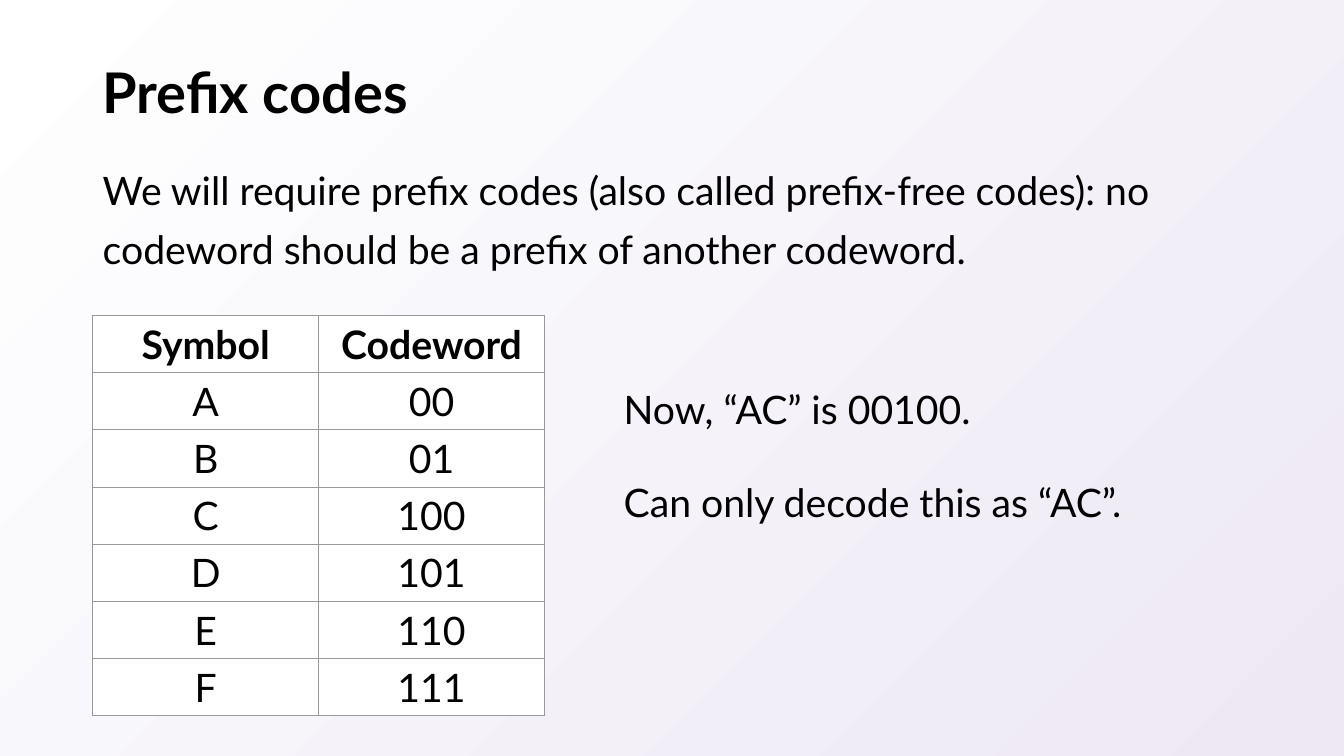
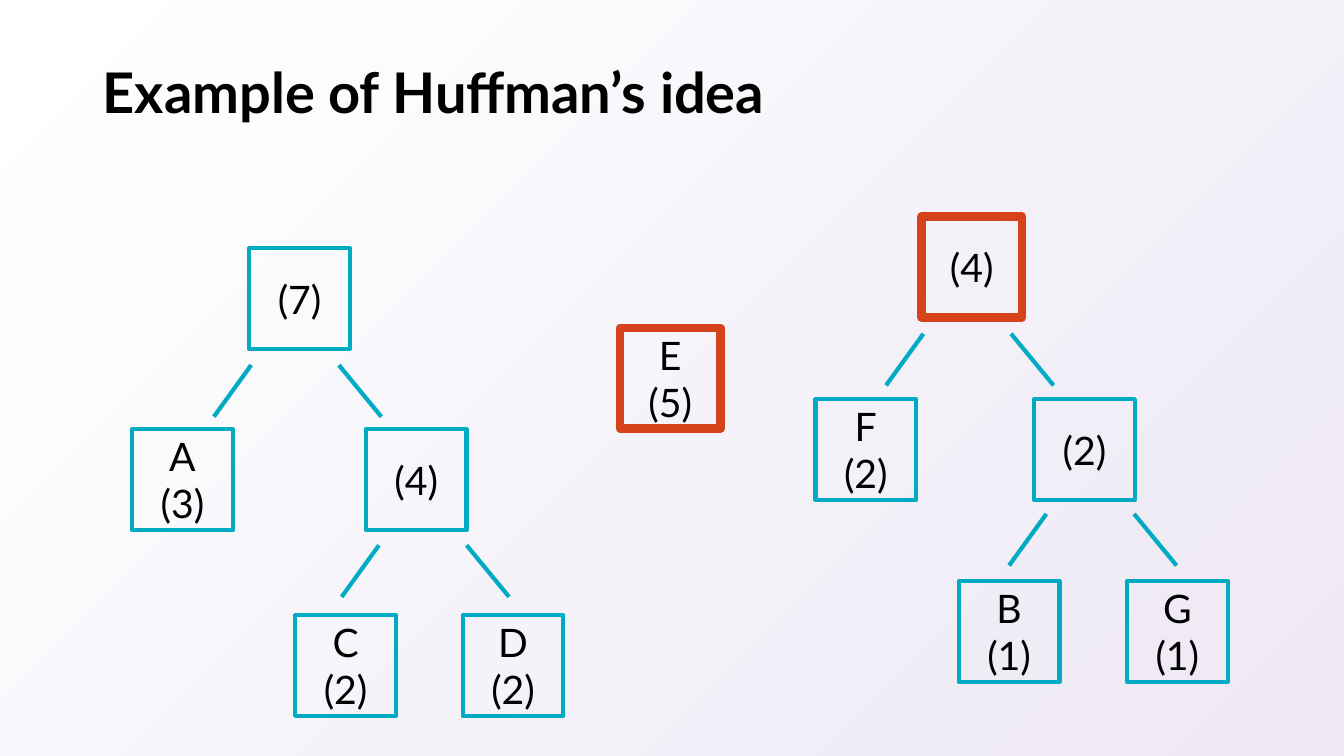
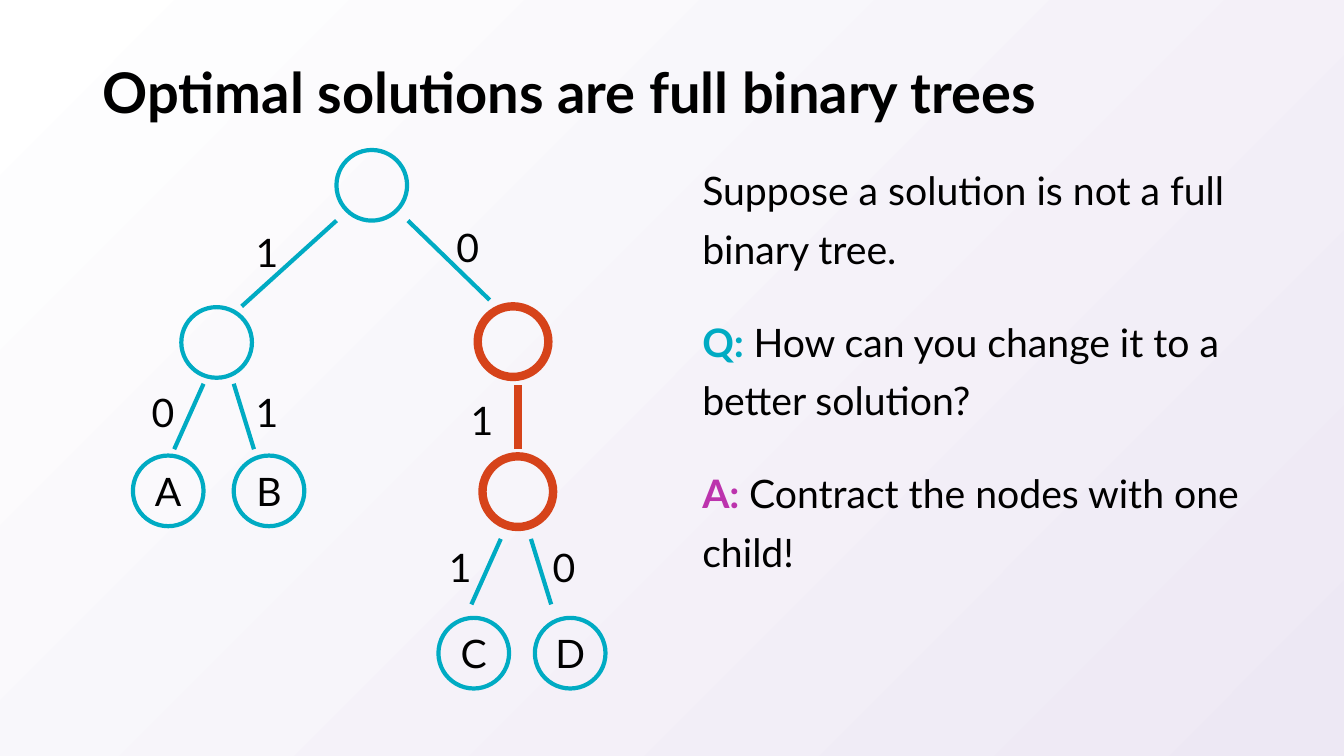
from lxml.etree import SubElement
from pptx import Presentation
from pptx.dml.color import RGBColor
from pptx.enum.shapes import MSO_CONNECTOR, MSO_SHAPE
from pptx.enum.text import MSO_ANCHOR, PP_ALIGN
from pptx.oxml import parse_xml
from pptx.oxml.ns import nsdecls, qn
from pptx.util import Cm, Pt

FONT = "Lato"
BLACK, WHITE, LAVENDER, GRAY = "000000", "FFFFFF", "EDE8F4", "999999"
TEAL, RED, MAGENTA = "00ABC3", "D6431A", "BC33AD"
MARGIN, CONTENT_WIDTH = 2.34, 29.21
BODY_TOP, BODY_HEIGHT = 3.78, 13.36
THIN, THICK = 3, 6
SQUARE, CIRCLE = 2.54, 1.78


def color(value):
    return RGBColor.from_string(value)


def style(paragraph, size=28, bold=False, align=None, line_spacing=None, space_before=None):
    paragraph.font.name = FONT
    paragraph.font.size = Pt(size)
    paragraph.font.bold = bold
    paragraph.font.color.rgb = color(BLACK)
    paragraph.alignment = align
    paragraph.line_spacing = line_spacing
    paragraph.space_before = space_before


def add_text_box(slide, left, top, width, height, wrap=True):
    box = slide.shapes.add_textbox(Cm(left), Cm(top), Cm(width), Cm(height))
    box.text_frame.word_wrap = wrap
    return box.text_frame


def add_body(slide, left, top, width, height, paragraphs, wrap=True):
    frame = add_text_box(slide, left, top, width, height, wrap)
    for index, (lead, lead_color, words) in enumerate(paragraphs):
        paragraph = frame.add_paragraph() if index else frame.paragraphs[0]
        style(paragraph, line_spacing=1.25, space_before=Pt(24))
        if lead:
            run = paragraph.add_run()
            run.text = lead
            run.font.bold = True
            run.font.color.rgb = color(lead_color)
        paragraph.add_run().text = words


def add_titled_slide(prs, title):
    slide = prs.slides.add_slide(prs.slide_layouts[6])
    frame = add_text_box(slide, MARGIN, 1.02, CONTENT_WIDTH, 2.77)
    frame.vertical_anchor = MSO_ANCHOR.MIDDLE
    frame.text = title
    style(frame.paragraphs[0], size=40, bold=True, line_spacing=0.9)
    return slide


def set_background(prs):
    fill = prs.slide_master.background.fill
    fill.gradient()
    fill.gradient_angle = 315
    for stop, shade in zip(fill.gradient_stops, (WHITE, LAVENDER)):
        stop.color.rgb = color(shade)


def set_borders(cell):
    properties = cell._tc.get_or_add_tcPr()
    for index, side in enumerate(("lnL", "lnR", "lnT", "lnB")):
        border = parse_xml(
            f'<a:{side} {nsdecls("a")} w="{Pt(0.75)}"><a:solidFill>'
            f'<a:srgbClr val="{GRAY}"/></a:solidFill></a:{side}>')
        properties.insert(index, border)


def add_code_table(slide, left, top, rows, column_width=5.69, row_height=1.44):
    columns = len(rows[0])
    table = slide.shapes.add_table(
        len(rows), columns, Cm(left), Cm(top),
        Cm(columns * column_width), Cm(len(rows) * row_height)).table
    for row_index, row in enumerate(rows):
        table.rows[row_index].height = Cm(row_height)
        for column_index, words in enumerate(row):
            cell = table.cell(row_index, column_index)
            cell.text = words
            cell.vertical_anchor = MSO_ANCHOR.MIDDLE
            cell.fill.solid()
            cell.fill.fore_color.rgb = color(WHITE)
            style(cell.text_frame.paragraphs[0], bold=row_index == 0, align=PP_ALIGN.CENTER)
            set_borders(cell)


def set_line(line, highlighted):
    line.color.rgb = color(RED if highlighted else TEAL)
    line.width = Pt(THICK if highlighted else THIN)


def add_node(slide, outline, size, left, top, label, highlighted=False):
    node = slide.shapes.add_shape(outline, Cm(left), Cm(top), Cm(size), Cm(size))
    node.shadow.inherit = False
    node.fill.background()
    set_line(node.line, highlighted)
    if label:
        frame = node.text_frame
        frame.vertical_anchor = MSO_ANCHOR.MIDDLE
        frame.text = label
        for paragraph in frame.paragraphs:
            style(paragraph, align=PP_ALIGN.CENTER)


def add_edge(slide, x1, y1, x2, y2, highlighted=False):
    edge = slide.shapes.add_connector(
        MSO_CONNECTOR.STRAIGHT, Cm(x1), Cm(y1), Cm(x2), Cm(y2))
    set_line(edge.line, highlighted)
    SubElement(edge._element.spPr, qn("a:effectLst"))


def add_fork(slide, left, top, width, height, inner_left, inner_right):
    add_edge(slide, left, top + height, left + inner_left, top)
    add_edge(slide, left + width, top + height, left + inner_right, top)


def add_bit(slide, left, top, bit):
    add_body(slide, left, top, 1.09, 1.6, [("", BLACK, bit)], wrap=False)


def add_weight_tree(slide, left, top, nodes, forks):
    for x, y, label, highlighted in nodes:
        add_node(slide, MSO_SHAPE.RECTANGLE, SQUARE, left + x, top + y, label, highlighted)
    for x, y in forks:
        add_fork(slide, left + x, top + y, 4.22, 1.3, 0.94, 3.15)


def add_code_tree(slide, left, top, nodes, edges, forks, bits):
    for x, y, label, highlighted in nodes:
        add_node(slide, MSO_SHAPE.OVAL, CIRCLE, left + x, top + y, label, highlighted)
    for x1, y1, x2, y2, highlighted in edges:
        add_edge(slide, left + x1, top + y1, left + x2, top + y2, highlighted)
    for x, y, left_bit, right_bit in forks:
        add_fork(slide, left + x, top + y, 2.01, 1.65, 0.74, 1.5)
        add_bit(slide, left + x - 0.82, top + y - 0.3, left_bit)
        add_bit(slide, left + x + 1.8, top + y - 0.3, right_bit)
    for x, y, bit in bits:
        add_bit(slide, left + x, top + y, bit)


def build_prefix_codes(prs):
    slide = add_titled_slide(prs, "Prefix codes")
    add_body(slide, MARGIN, BODY_TOP, CONTENT_WIDTH, BODY_HEIGHT, [
        ("", BLACK, "We will require prefix codes (also called prefix-free codes): "
                    "no codeword should be a prefix of another codeword.")])
    add_code_table(slide, MARGIN, 7.95, [
        ("Symbol", "Codeword"), ("A", "00"), ("B", "01"), ("C", "100"),
        ("D", "101"), ("E", "110"), ("F", "111")])
    add_body(slide, 15.47, 9.3, 14.33, 3.94, [
        ("", BLACK, "Now, “AC” is 00100."),
        ("", BLACK, "Can only decode this as “AC”.")])


def build_huffman_example(prs):
    slide = add_titled_slide(prs, "Example of Huffman’s idea")
    fork_top, inner_fork_top = 2.95, 7.49
    add_weight_tree(slide, 3.33, 6.25, [
        (2.95, 0, "(7)", False),
        (0, 4.57, "A\n(3)", False), (5.89, 4.57, "(4)", False),
        (4.11, 9.25, "C\n(2)", False), (8.33, 9.25, "D\n(2)", False),
    ], [(2.06, fork_top), (5.28, inner_fork_top)])
    add_weight_tree(slide, 15.62, 8.26, [(0, 0, "E\n(5)", True)], [])
    add_weight_tree(slide, 20.55, 5.46, [
        (2.67, 0, "(4)", True),
        (0, 4.6, "F\n(2)", False), (5.51, 4.6, "(2)", False),
        (3.61, 9.18, "B\n(1)", False), (7.85, 9.18, "G\n(1)", False),
    ], [(1.78, fork_top), (4.88, inner_fork_top)])


def build_full_trees(prs):
    slide = add_titled_slide(prs, "Optimal solutions are full binary trees")
    add_body(slide, 17.45, BODY_TOP, 14.1, BODY_HEIGHT, [
        ("", BLACK, "Suppose a solution is not a full binary tree."),
        ("Q: ", TEAL, "How can you change it to a better solution?"),
        ("A: ", MAGENTA, "Contract the nodes with one child!")])
    add_code_tree(
        slide, 3.35, BODY_TOP,
        nodes=[
            (5.13, 0, "", False),
            (1.22, 3.96, "", False), (8.69, 3.94, "", True),
            (0, 7.7, "A", False), (2.54, 7.7, "B", False), (8.81, 7.72, "", True),
            (7.7, 11.79, "C", False), (10.13, 11.79, "D", False)],
        edges=[
            (2.74, 3.94, 5.13, 1.78, False),
            (8.99, 3.78, 6.93, 1.78, False),
            (9.7, 7.54, 9.7, 5.92, True)],
        forks=[(1.04, 5.89, "0", "1"), (8.53, 9.8, "1", "0")],
        bits=[(2.84, 1.55, "1"), (7.9, 1.42, "0"), (8.26, 5.79, "1")])


def main():
    prs = Presentation()
    prs.slide_width, prs.slide_height = Cm(33.87), Cm(19.05)
    set_background(prs)
    build_prefix_codes(prs)
    build_huffman_example(prs)
    build_full_trees(prs)
    prs.save("out.pptx")


if __name__ == "__main__":
    main()
